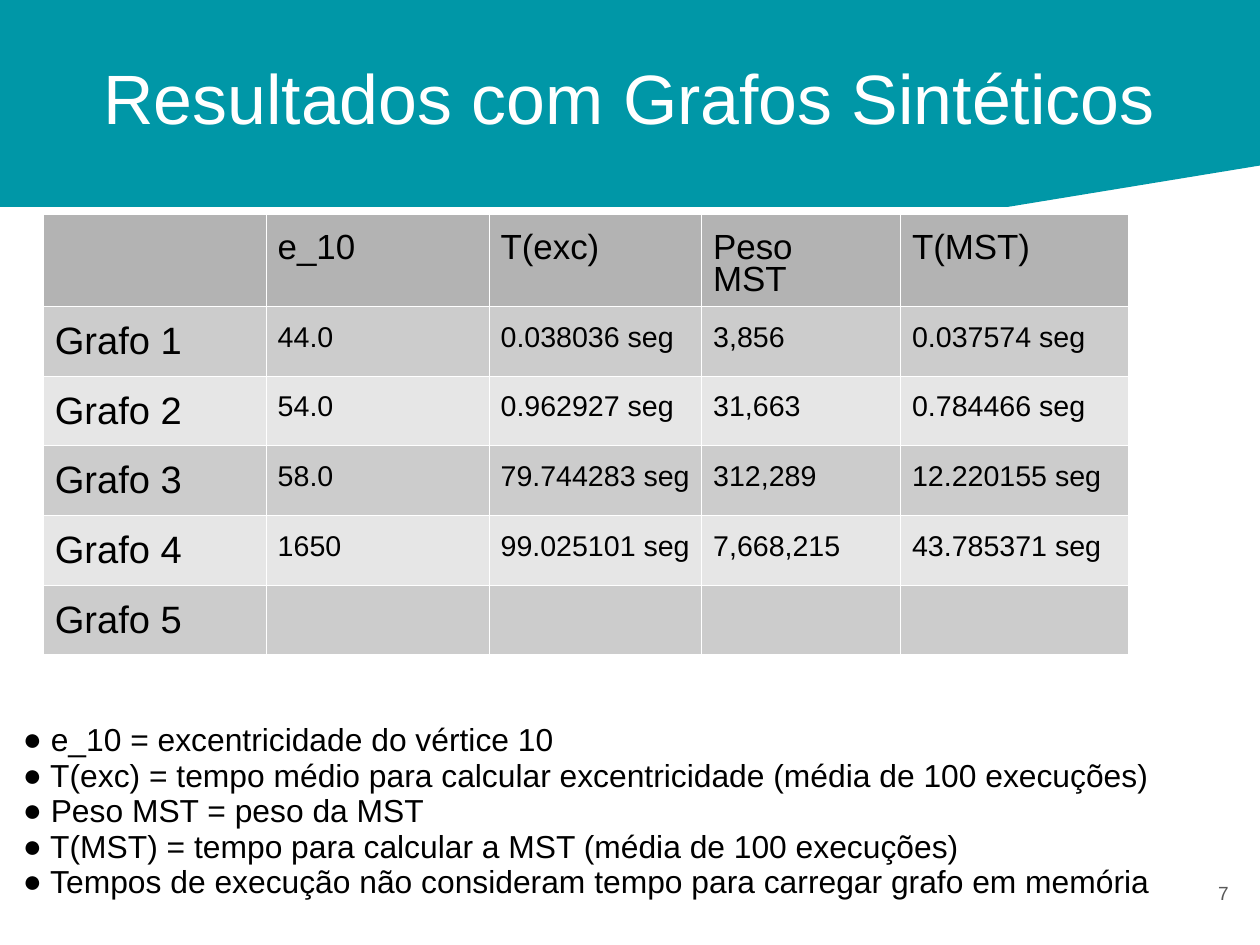
from dataclasses import dataclass

from lxml import etree
from pptx import Presentation
from pptx.dml import color
from pptx.enum import shapes, text
from pptx.oxml import ns
from pptx.util import Inches, Pt

CM_PER_INCH = 2.54
SLIDE_WIDTH, SLIDE_HEIGHT = Inches(28 / CM_PER_INCH), Inches(21 / CM_PER_INCH)
FONT = "Arial"
BLACK, WHITE, TEAL, GREY = "000000", "FFFFFF", "0097A7", "595959"
HEADER_FILL, BAND_FILLS = "B3B3B3", ("CCCCCC", "E6E6E6")


@dataclass
class TextStyle:
    size: float
    hex_color: str = BLACK
    line_spacing: float = 1.0
    align: text.PP_ALIGN = text.PP_ALIGN.LEFT


@dataclass
class CellStyle:
    text_style: TextStyle
    top_margin: float


TITLE = TextStyle(44, WHITE, 0.93, text.PP_ALIGN.CENTER)
NOTE = TextStyle(20, line_spacing=0.93)
PAGE_NUMBER = TextStyle(12, GREY, align=text.PP_ALIGN.RIGHT)
HEADER_CELL = CellStyle(TextStyle(22, line_spacing=0.81), 0.17)
LABEL_CELL = CellStyle(TextStyle(24, line_spacing=0.81), 0.18)
VALUE_CELL = CellStyle(TextStyle(18, line_spacing=0.93), 0.15)

COLUMN_WIDTHS = (1.95, 1.95, 1.86, 1.74, 1.99)
HEADER_HEIGHT, ROW_HEIGHT = 0.8, 0.61
RESULTS = (
    ("", "e_10", "T(exc)", "Peso\vMST", "T(MST)"),
    ("Grafo 1", "44.0", "0.038036 seg", "3,856", "0.037574 seg"),
    ("Grafo 2", "54.0", "0.962927 seg", "31,663", "0.784466 seg"),
    ("Grafo 3", "58.0", "79.744283 seg", "312,289", "12.220155 seg"),
    ("Grafo 4", "1650", "99.025101 seg", "7,668,215", "43.785371 seg"),
    ("Grafo 5", "", "", "", ""),
)
NOTES = (
    "e_10 = excentricidade do vértice 10",
    "T(exc) = tempo médio para calcular excentricidade (média de 100 execuções)",
    "Peso MST = peso da MST",
    "T(MST) = tempo para calcular a MST (média de 100 execuções)",
    "Tempos de execução não consideram tempo para carregar grafo em memória",
)


def rgb(hex_color: str) -> color.RGBColor:
    return color.RGBColor.from_string(hex_color)


def format_text(frame, style: TextStyle) -> None:
    for paragraph in frame.paragraphs:
        paragraph.alignment = style.align
        paragraph.line_spacing = style.line_spacing
        paragraph.space_before = paragraph.space_after = Pt(0)
        for run in paragraph.runs:
            run.font.name = FONT
            run.font.size = Pt(style.size)
            run.font.color.rgb = rgb(style.hex_color)


def fill_frame(frame, content: str, style: TextStyle, margins: tuple) -> None:
    frame.text = content
    frame.word_wrap = True
    frame.auto_size = text.MSO_AUTO_SIZE.NONE
    frame.vertical_anchor = text.MSO_ANCHOR.MIDDLE
    (frame.margin_left, frame.margin_top,
     frame.margin_right, frame.margin_bottom) = map(Inches, margins)
    format_text(frame, style)


def add_bullet(paragraph) -> None:
    properties = paragraph._p.get_or_add_pPr()
    properties.set("marL", "0")
    properties.set("indent", str(-Inches(0.06)))
    bullet_color = etree.SubElement(properties, ns.qn("a:buClr"))
    etree.SubElement(bullet_color, ns.qn("a:srgbClr"), val=BLACK)
    etree.SubElement(properties, ns.qn("a:buFont"), typeface=FONT)
    etree.SubElement(properties, ns.qn("a:buChar"), char="●")


def add_borders(cell) -> None:
    properties = cell._tc.get_or_add_tcPr()
    for position, side in enumerate(("lnL", "lnR", "lnT", "lnB")):
        line = etree.Element(ns.qn(f"a:{side}"), w=str(Pt(0.75)))
        line_fill = etree.SubElement(line, ns.qn("a:solidFill"))
        etree.SubElement(line_fill, ns.qn("a:srgbClr"), val=WHITE)
        properties.insert(position, line)


def fill_cell(cell, content: str, style: CellStyle, hex_fill: str) -> None:
    cell.text_frame.text = content
    cell.margin_left = cell.margin_right = Inches(0.1)
    cell.margin_top, cell.margin_bottom = Inches(style.top_margin), Inches(0.05)
    cell.fill.solid()
    cell.fill.fore_color.rgb = rgb(hex_fill)
    format_text(cell.text_frame, style.text_style)
    add_borders(cell)


def add_banner(slide) -> None:
    banner = slide.shapes.add_shape(
        shapes.MSO_SHAPE.FLOWCHART_CARD, 0, 0, SLIDE_WIDTH, Inches(1.81))
    banner.rotation = 180
    banner.shadow.inherit = False
    banner.fill.solid()
    banner.fill.fore_color.rgb = rgb(TEAL)
    banner.line.fill.background()
    # Send behind the title
    slide.shapes._spTree.insert(2, banner._element)


def add_title(slide) -> None:
    title = slide.shapes.title
    title.left, title.top = Inches(0.55), Inches(0.33)
    title.width, title.height = Inches(9.92), Inches(1.07)
    fill_frame(title.text_frame, "Resultados com Grafos Sintéticos", TITLE,
               (0, 0.04, 0, 0))


def add_results(slide) -> None:
    heights = [HEADER_HEIGHT] + [ROW_HEIGHT] * (len(RESULTS) - 1)
    table = slide.shapes.add_table(
        len(RESULTS), len(COLUMN_WIDTHS), Inches(0.38), Inches(1.88),
        Inches(sum(COLUMN_WIDTHS)), Inches(sum(heights))).table
    for column, width in zip(table.columns, COLUMN_WIDTHS):
        column.width = Inches(width)
    for row_index, values in enumerate(RESULTS):
        table.rows[row_index].height = Inches(heights[row_index])
        hex_fill = BAND_FILLS[(row_index - 1) % 2] if row_index else HEADER_FILL
        for column_index, value in enumerate(values):
            if row_index == 0:
                style = HEADER_CELL
            else:
                style = VALUE_CELL if column_index else LABEL_CELL
            fill_cell(table.cell(row_index, column_index), value, style, hex_fill)


def add_notes_list(slide) -> None:
    box = slide.shapes.add_textbox(
        Inches(0.2), Inches(6.01), Inches(10.6), Inches(2.17))
    fill_frame(box.text_frame, "\n".join(f" {note}" for note in NOTES), NOTE,
               (0, 0.02, 0, 0))
    for paragraph in box.text_frame.paragraphs:
        add_bullet(paragraph)


def add_page_number(slide) -> None:
    box = slide.shapes.add_textbox(
        Inches(10.21), Inches(7.5), Inches(0.66), Inches(0.63))
    fill_frame(box.text_frame, "7", PAGE_NUMBER, (0.12,) * 4)


def main() -> None:
    presentation = Presentation()
    presentation.slide_width = SLIDE_WIDTH
    presentation.slide_height = SLIDE_HEIGHT
    slide = presentation.slides.add_slide(presentation.slide_layouts[5])
    add_banner(slide)
    add_title(slide)
    add_results(slide)
    add_notes_list(slide)
    add_page_number(slide)
    presentation.save("out.pptx")


if __name__ == "__main__":
    main()
